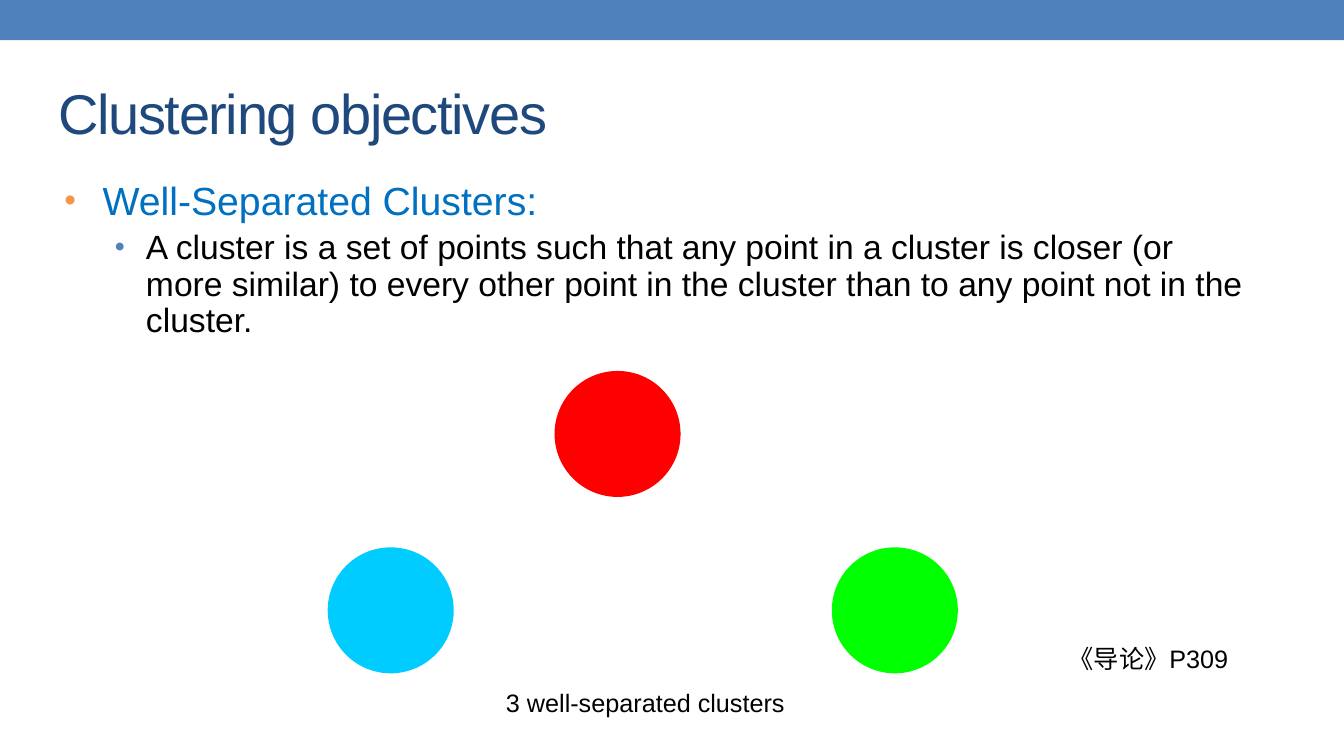
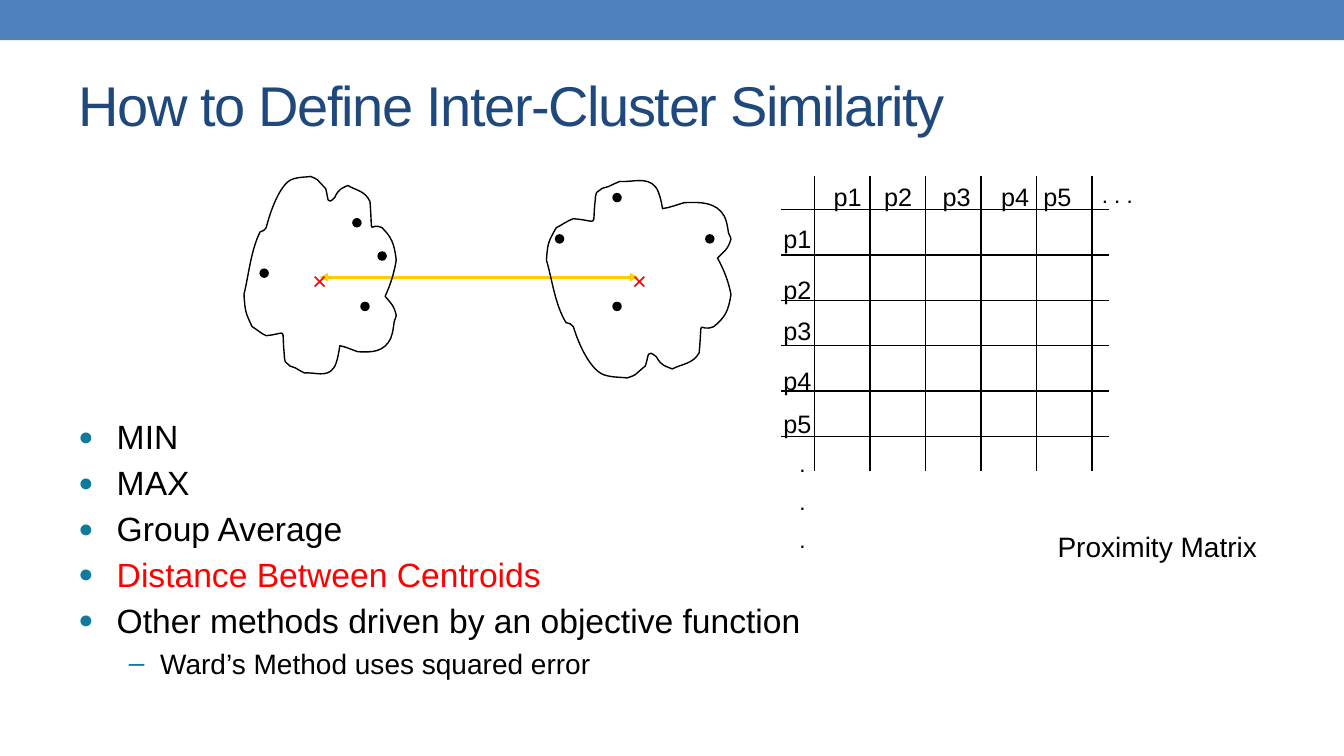
from lxml.etree import SubElement
from pptx import Presentation
from pptx.dml.color import RGBColor
from pptx.enum.shapes import MSO_CONNECTOR, MSO_SHAPE
from pptx.enum.text import MSO_ANCHOR, MSO_AUTO_SIZE, PP_ALIGN
from pptx.oxml.ns import qn
from pptx.util import Inches, Pt

WIDTH, HEIGHT = 13.33, 7.5
BAND_HEIGHT = 0.4
FONT = "Arial"
BLACK = RGBColor(0x00, 0x00, 0x00)
RED = RGBColor(0xFF, 0x00, 0x00)
GREEN = RGBColor(0x00, 0xFF, 0x00)
CYAN = RGBColor(0x00, 0xCC, 0xFF)
GOLD = RGBColor(0xFF, 0xCC, 0x00)
NAVY = RGBColor(0x1F, 0x49, 0x7D)
BLUE = RGBColor(0x00, 0x70, 0xC0)
BAND_BLUE = RGBColor(0x4F, 0x81, 0xBD)
ORANGE = RGBColor(0xF7, 0x96, 0x46)
TEAL = RGBColor(0x0C, 0x7B, 0x9C)

# Bullet levels: left margin, hanging indent, character, colour, size in percent
OBJECTIVE_LEVELS = [(0.38, 0.38, "•", ORANGE, 85), (0.81, 0.31, "•", BAND_BLUE, 85)]
METHOD_LEVELS = [(0.38, 0.38, "●", TEAL, 75), (0.81, 0.31, "–", TEAL, 100)]

# Bullets: level, text, size, colour
OBJECTIVES = [
    (0, "Well-Separated Clusters:", 28, BLUE),
    (1, "A cluster is a set of points such that any point in a cluster is closer "
        "(or more similar) to every other point in the cluster than to any point "
        "not in the cluster.", 24, BLACK),
]
METHODS = [
    (0, "MIN", 24, BLACK),
    (0, "MAX", 24, BLACK),
    (0, "Group Average", 24, BLACK),
    (0, "Distance Between Centroids", 24, RED),
    (0, "Other methods driven by an objective function", 24, BLACK),
    (1, "Ward’s Method uses squared error", 20, BLACK),
]

CIRCLE_SIZE = 1.25
CIRCLES = [(3.25, 5.43, CYAN), (8.25, 5.43, GREEN), (5.5, 3.68, RED)]

# Cluster outline: start, then cubic curves as (control, control, end)
OUTLINE_BOX = (2.42, 1.75, 1.51, 2)
OUTLINE_START = (2.58, 2.3)
OUTLINE_CURVES = [
    ((2.49, 2.48), (2.47, 2.71), (2.42, 2.92)),
    ((2.43, 3.1), (2.44, 3.11), (2.5, 3.24)),
    ((2.55, 3.27), (2.59, 3.31), (2.64, 3.33)),
    ((2.86, 3.31), (2.79, 3.23), (2.82, 3.52)),
    ((2.82, 3.54), (2.82, 3.56), (2.83, 3.59)),
    ((2.9, 3.65), (2.85, 3.62), (2.93, 3.65)),
    ((2.96, 3.67), (3.02, 3.7), (3.02, 3.7)),
    ((3.12, 3.69), (3.24, 3.75), (3.31, 3.65)),
    ((3.35, 3.6), (3.37, 3.43), (3.37, 3.43)),
    ((3.43, 3.44), (3.49, 3.47), (3.55, 3.49)),
    ((3.63, 3.49), (3.77, 3.51), (3.85, 3.4)),
    ((3.89, 3.35), (3.9, 3.27), (3.91, 3.19)),
    ((3.92, 3.17), (3.93, 3.13), (3.93, 3.13)),
    ((3.91, 3.03), (3.87, 3), (3.82, 2.94)),
    ((3.87, 2.83), (3.91, 2.71), (3.93, 2.58)),
    ((3.91, 2.41), (3.88, 2.35), (3.79, 2.26)),
    ((3.65, 2.19), (3.7, 2.4), (3.67, 2)),
    ((3.62, 1.89), (3.53, 1.89), (3.45, 1.84)),
    ((3.39, 1.87), (3.36, 1.87), (3.32, 1.96)),
    ((3.24, 2.04), (3.26, 1.98), (3.23, 1.87)),
    ((3.12, 1.76), (3.17, 1.79), (3.08, 1.75)),
    ((3.05, 1.76), (2.92, 1.75), (2.86, 1.8)),
    ((2.76, 1.88), (2.68, 2.1), (2.64, 2.26)),
    ((2.63, 2.29), (2.6, 2.29), (2.58, 2.3)),
]

# Clusters: left, width, flipped top to bottom, centroid left, points
CLUSTERS = [
    (2.42, 1.51, False, 3, [(3.58, 3), (3.5, 2.17), (2.58, 2.67), (3.75, 2.5)]),
    (5.42, 1.83, True, 6.17, [(7, 2.33), (5.51, 2.33), (6.08, 3), (6.08, 1.92)]),
]
POINT_SIZE = 0.08
CENTROID_TOP = 2.58
ARROW = (3.17, 2.75, 6.33, 2.75)

# Proximity matrix
MATRIX_LEFT, MATRIX_TOP, MATRIX_RIGHT, MATRIX_BOTTOM = 7.75, 1.75, 11, 4.67
FIRST_COLUMN, COLUMN_STEP = 8.08, 0.55
FIRST_ROW, ROW_STEP = 2.08, 0.45
LABELS = ["p1", "p2", "p3", "p4", "p5"]
COLUMN_LABEL_LEFTS = [8.17, 8.67, 9.25, 9.83, 10.25]
ROW_LABEL_TOPS = [2.17, 2.67, 3.08, 3.58, 4]
LABEL_SIZE = (0.58, 0.4)


def inches(*lengths):
    return [Inches(length) for length in lengths]


def add_filled(shapes, kind, box, color):
    shape = shapes.add_shape(kind, *inches(*box))
    shape.shadow.inherit = False
    shape.fill.solid()
    shape.fill.fore_color.rgb = color
    shape.line.fill.background()
    return shape


def add_line(shapes, ends, color=BLACK, width=1, arrowheads=False):
    line = shapes.add_connector(MSO_CONNECTOR.STRAIGHT, *inches(*ends))
    line.line.color.rgb = color
    line.line.width = Pt(width)
    properties = line.element.spPr
    if arrowheads:
        outline = properties.find(qn("a:ln"))
        for end in ("a:headEnd", "a:tailEnd"):
            SubElement(outline, qn(end), type="triangle")
    SubElement(properties, qn("a:effectLst"))


def format_font(paragraph, size, color):
    paragraph.font.name = FONT
    paragraph.font.size = Pt(size)
    paragraph.font.color.rgb = color


def add_text(shapes, box, lines, size=18, color=BLACK):
    frame = shapes.add_textbox(*inches(*box)).text_frame
    frame.word_wrap = True
    frame.text = "\n".join(lines)
    for index, paragraph in enumerate(frame.paragraphs):
        if index:
            paragraph.space_before = Pt(size / 2)
        format_font(paragraph, size, color)


def set_bullet(paragraph, margin, hanging, character, color, percent):
    properties = paragraph._p.get_or_add_pPr()
    properties.set("marL", str(Inches(margin)))
    properties.set("indent", str(-Inches(hanging)))
    bullet_color = SubElement(properties, qn("a:buClr"))
    SubElement(bullet_color, qn("a:srgbClr"), val=str(color))
    SubElement(properties, qn("a:buSzPct"), val=str(percent * 1000))
    SubElement(properties, qn("a:buFont"), typeface=FONT)
    SubElement(properties, qn("a:buChar"), char=character)


def add_bullets(slide, box, bullets, levels, before, after=0, line_spacing=1.0):
    frame = slide.shapes.add_textbox(*inches(*box)).text_frame
    frame.word_wrap = True
    frame.text = "\n".join(text for _, text, _, _ in bullets)
    for index, (paragraph, bullet) in enumerate(zip(frame.paragraphs, bullets)):
        level, _, size, color = bullet
        paragraph.level = level
        set_bullet(paragraph, *levels[level])
        paragraph.line_spacing = line_spacing
        paragraph.space_before = Pt(before if index else 0)
        paragraph.space_after = Pt(after)
        format_font(paragraph, size, color)


def add_band_to_layout(slide):
    """Move a band drawn on the slide to the layout that all slides share."""
    band = add_filled(slide.shapes, MSO_SHAPE.RECTANGLE, (0, 0, WIDTH, BAND_HEIGHT), BAND_BLUE)
    band.element.nvSpPr.cNvPr.set("id", "100")
    slide.slide_layout.shapes.element.insert(2, band.element)


def add_title_slide(presentation, title_box, text):
    slide = presentation.slides.add_slide(presentation.slide_layouts[5])
    title = slide.shapes.title
    title.left, title.top, title.width, title.height = inches(*title_box)
    frame = title.text_frame
    frame.text = text
    frame.auto_size = MSO_AUTO_SIZE.NONE
    frame.vertical_anchor = MSO_ANCHOR.MIDDLE
    paragraph = frame.paragraphs[0]
    paragraph.alignment = PP_ALIGN.LEFT
    format_font(paragraph, 40, NAVY)
    paragraph.runs[0]._r.get_or_add_rPr().set("spc", "-100")
    return slide


def add_outline(slide, left, width, flipped):
    """Draw the cluster outline, stretched to a width and perhaps flipped."""
    box_left, box_top, box_width, box_height = OUTLINE_BOX

    def place(point):
        x, y = point
        return (Inches(left + (x - box_left) * width / box_width),
                Inches(2 * box_top + box_height - y if flipped else y))

    builder = slide.shapes.build_freeform(*place(OUTLINE_START), scale=1.0)
    builder.add_line_segments([place(end) for _, _, end in OUTLINE_CURVES], close=True)
    outline = builder.convert_to_shape()
    segments = list(outline.element.iter(qn("a:lnTo")))
    for segment, curve in zip(segments, OUTLINE_CURVES):
        segment.tag = qn("a:cubicBezTo")
        segment.remove(segment[0])
        for x, y in map(place, curve):
            SubElement(segment, qn("a:pt"), x=str(x - outline.left), y=str(y - outline.top))
    outline.shadow.inherit = False
    outline.fill.background()
    outline.line.color.rgb = BLACK
    outline.line.width = Pt(1)


def add_matrix(slide):
    shapes = slide.shapes.add_group_shape().shapes
    for index in range(len(LABELS) + 1):
        x = FIRST_COLUMN + index * COLUMN_STEP
        y = FIRST_ROW + index * ROW_STEP
        add_line(shapes, (x, MATRIX_TOP, x, MATRIX_BOTTOM))
        add_line(shapes, (MATRIX_LEFT, y, MATRIX_RIGHT, y))
    for label, left, top in zip(LABELS, COLUMN_LABEL_LEFTS, ROW_LABEL_TOPS):
        add_text(shapes, (left, MATRIX_TOP, *LABEL_SIZE), [label])
        add_text(shapes, (7.67, top, *LABEL_SIZE), [label])
    add_text(shapes, (10.83, MATRIX_TOP, 0.58, 0.37), [". . ."], 16)
    add_text(shapes, (7.83, 4.42, 0.58, 1.17), [".", ".", "."], 16)


def build_objectives(presentation):
    slide = add_title_slide(presentation, (0.48, 0.4, 9.06, 1.42), "Clustering objectives")
    add_bullets(slide, (0.54, 1.75, 12.04, 5.59), OBJECTIVES, OBJECTIVE_LEVELS,
                before=5, line_spacing=0.9)
    for left, top, color in CIRCLES:
        add_filled(slide.shapes, MSO_SHAPE.OVAL, (left, top, CIRCLE_SIZE, CIRCLE_SIZE), color)
    add_text(slide.shapes, (4.92, 6.77, 3.5, 0.4), ["3 well-separated clusters"])
    add_text(slide.shapes, (10.5, 6.33, 2.08, 0.4), ["《导论》P309"])
    return slide


def build_similarity(presentation):
    slide = add_title_slide(presentation, (0.68, 0.37, 9.06, 1.33),
                            "How to Define Inter-Cluster Similarity")
    add_line(slide.shapes, ARROW, GOLD, 2, arrowheads=True)
    for left, width, flipped, centroid_left, points in CLUSTERS:
        add_outline(slide, left, width, flipped)
        for x, y in points:
            point = add_filled(slide.shapes, MSO_SHAPE.OVAL,
                               (x, y, POINT_SIZE, POINT_SIZE), BLACK)
            point.line.color.rgb = BLACK
            point.line.width = Pt(1)
        add_text(slide.shapes, (centroid_left, CENTROID_TOP, 0.25, 0.4), ["×"], color=RED)
    add_matrix(slide)
    add_text(slide.shapes, (10.39, 5.2, 2.75, 0.43), ["Proximity Matrix"], 20)
    add_bullets(slide, (0.68, 4.08, 7.74, 3.42), METHODS, METHOD_LEVELS, before=2, after=2)


def main():
    presentation = Presentation()
    presentation.slide_width, presentation.slide_height = inches(WIDTH, HEIGHT)
    add_band_to_layout(build_objectives(presentation))
    build_similarity(presentation)
    presentation.save("out.pptx")


if __name__ == "__main__":
    main()
